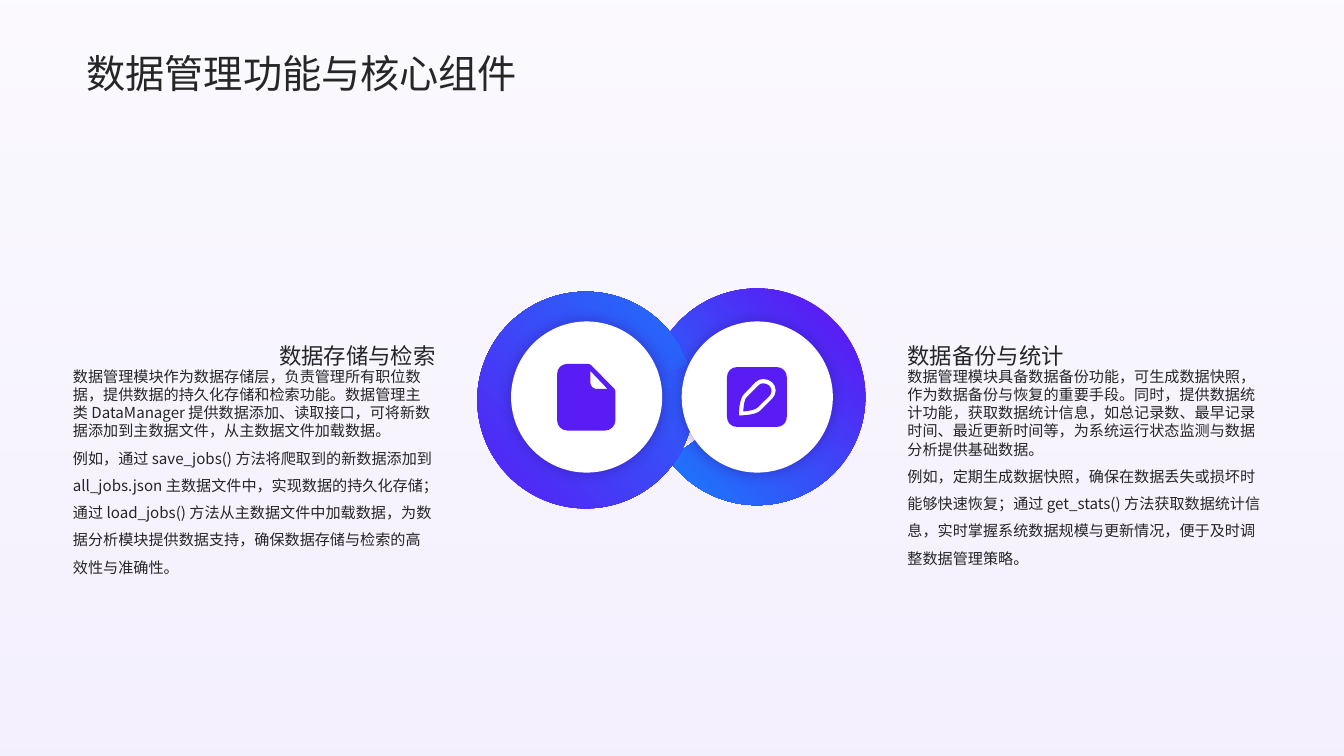
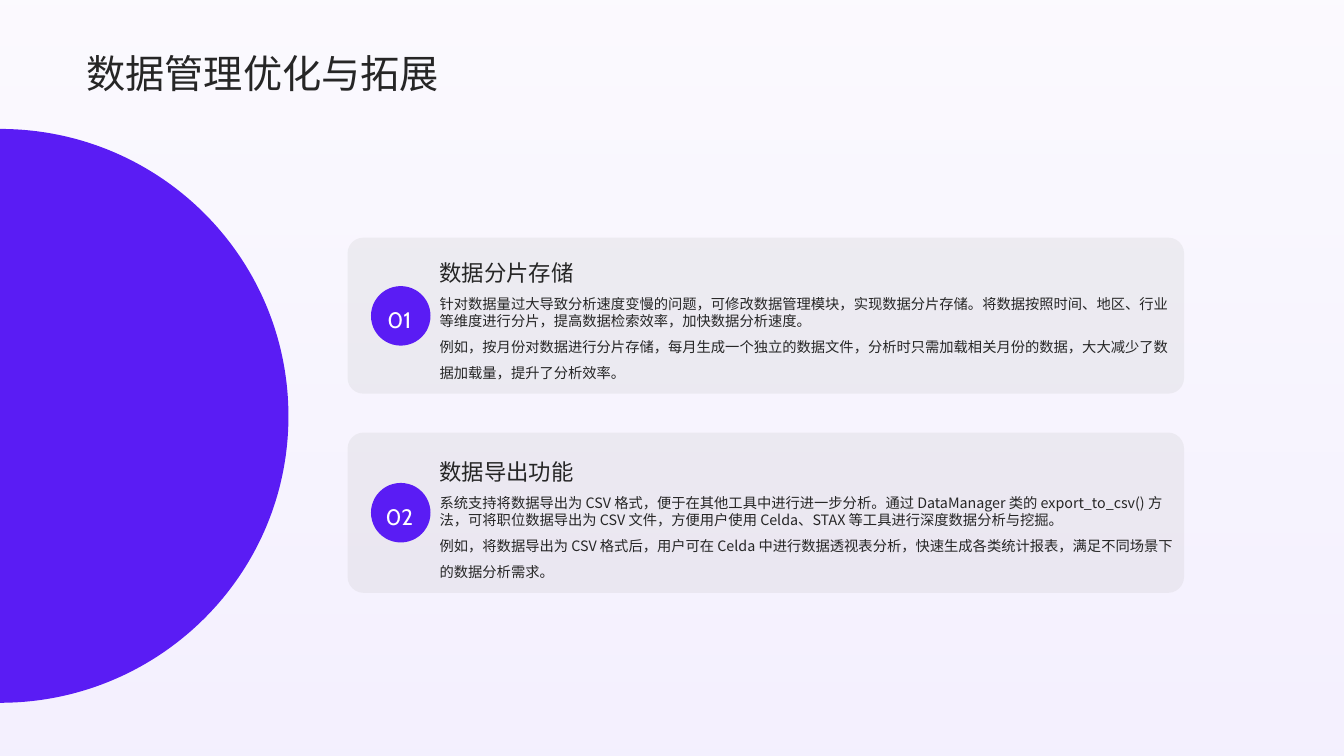
from dataclasses import dataclass

from lxml.etree import SubElement
from pptx import Presentation
from pptx.dml.color import RGBColor
from pptx.enum.shapes import MSO_SHAPE as Preset
from pptx.enum.text import MSO_ANCHOR as Anchor, PP_ALIGN as Align
from pptx.oxml.ns import qn
from pptx.util import Cm, Pt

COLORS = {
    "ink": "262626",
    "violet": "5A1CF4",
    "blue": "1482FC",
    "lilac": "DED2FD",
    "card": "BFBFBF",
    "shade": "2A0682",
    "white": "FFFFFF",
}
CJK_FONT = "Noto Sans CJK SC"
NUMBER_FONT = "Cabin"
SLIDE_W, SLIDE_H = 33.87, 19.05
ARC_SIZE = 5.46
DISC_SIZE = 3.81
BADGE_SIZE = 1.5
TIGHT_LEADING, LOOSE_LEADING = 1.2, 1.8

Box = tuple[float, float, float, float]
Contour = list[tuple[float, ...]]

PAGE_ICON: list[Contour] = [
    [(0.84, 0.18), (0.84, 0.48), (0.84, 0.56, 0.91, 0.63, 0.99, 0.63), (1.27, 0.63)],
    [(0.26, 0), (0.8, 0), (0.85, 0.03), (1.45, 0.63), (1.47, 0.69), (1.47, 1.42),
     (1.47, 1.56, 1.35, 1.68, 1.21, 1.68), (0.26, 1.68),
     (0.11, 1.68, 0, 1.56, 0, 1.42), (0, 0.26), (0, 0.11, 0.11, 0, 0.26, 0)],
]
PENCIL_ICON: list[Contour] = [
    [(0.91, 0.41), (0.97, 0.41, 1.02, 0.43, 1.07, 0.47),
     (1.14, 0.54, 1.14, 0.66, 1.07, 0.73), (0.76, 1.03),
     (0.72, 1.07, 0.56, 1.11, 0.41, 1.12), (0.42, 0.97, 0.45, 0.8, 0.49, 0.77),
     (0.79, 0.47), (0.82, 0.43, 0.86, 0.41, 0.91, 0.41)],
    [(0.91, 0.3), (0.84, 0.3, 0.77, 0.33, 0.72, 0.38), (0.43, 0.68),
     (0.3, 0.8, 0.3, 1.22, 0.3, 1.22), (0.3, 1.22, 0.72, 1.22, 0.84, 1.1),
     (1.14, 0.8), (1.26, 0.68, 1.26, 0.5, 1.14, 0.38),
     (1.08, 0.33, 1, 0.3, 0.91, 0.3)],
    [(0.26, 0), (1.25, 0), (1.4, 0, 1.51, 0.11, 1.51, 0.26), (1.51, 1.25),
     (1.51, 1.4, 1.4, 1.51, 1.25, 1.51), (0.26, 1.51),
     (0.11, 1.51, 0, 1.4, 0, 1.25), (0, 0.26), (0, 0.11, 0.11, 0, 0.26, 0)],
]
HALF_DISC: list[Contour] = [
    [(0, 0), (4.01, 0, 7.27, 3.23, 7.27, 7.24), (7.27, 11.23, 4.01, 14.46, 0, 14.46)],
]


@dataclass(frozen=True)
class TextStyle:
    size: float
    spacing: float = 1.5
    anchor: Anchor = Anchor.BOTTOM
    align: Align = Align.LEFT
    font: str = CJK_FONT
    color: str = "ink"


TITLE = TextStyle(28, 1.1, Anchor.MIDDLE)
NUMBER = TextStyle(16, 1.3, Anchor.MIDDLE, Align.CENTER, NUMBER_FONT, "white")


@dataclass(frozen=True)
class Arc:
    left: float
    top: float
    start: float
    end: float
    thickness: float
    gradient_angle: float
    rotation: float = 0


@dataclass(frozen=True)
class Component:
    heading: str
    body: str
    text_left: float
    align: Align
    disc_left: float
    icon: list[Contour]
    icon_left: float
    icon_top: float


@dataclass(frozen=True)
class Card:
    number: str
    heading: str
    body: str
    top: float
    height: float
    badge_top: float
    number_top: float
    heading_top: float
    body_top: float


ARCS = [
    Arc(16.35, 7.27, 158.69, 144.67, 0.156, 135),
    Arc(12.03, 7.35, 37.81, 26.39, 0.241, 0, rotation=315),
]
COMPONENTS = [
    Component(
        "数据存储与检索",
        "数据管理模块作为数据存储层，负责管理所有职位数据，提供数据的持久化存储和检索功能。数据管理主类 DataManager 提供数据添加、读取接口，可将新数据添加到主数据文件，从主数据文件加载数据。\n"
        "例如，通过 save_jobs() 方法将爬取到的新数据添加到 all_jobs.json 主数据文件中，实现数据的持久化存储；通过 load_jobs() 方法从主数据文件中加载数据，为数据分析模块提供数据支持，确保数据存储与检索的高效性与准确性。",
        1.84, Align.RIGHT, 12.88, PAGE_ICON, 14.04, 9.17),
    Component(
        "数据备份与统计",
        "数据管理模块具备数据备份功能，可生成数据快照，作为数据备份与恢复的重要手段。同时，提供数据统计功能，获取数据统计信息，如总记录数、最早记录时间、最近更新时间等，为系统运行状态监测与数据分析提供基础数据。\n"
        "例如，定期生成数据快照，确保在数据丢失或损坏时能够快速恢复；通过 get_stats() 方法获取数据统计信息，实时掌握系统数据规模与更新情况，便于及时调整数据管理策略。",
        22.87, Align.LEFT, 17.18, PENCIL_ICON, 18.32, 9.25),
]
CARDS = [
    Card(
        "01", "数据分片存储",
        "针对数据量过大导致分析速度变慢的问题，可修改数据管理模块，实现数据分片存储。将数据按照时间、地区、行业等维度进行分片，提高数据检索效率，加快数据分析速度。\n"
        "例如，按月份对数据进行分片存储，每月生成一个独立的数据文件，分析时只需加载相关月份的数据，大大减少了数据加载量，提升了分析效率。",
        5.99, 3.93, 7.21, 7.49, 6.29, 7.45),
    Card(
        "02", "数据导出功能",
        "系统支持将数据导出为 CSV 格式，便于在其他工具中进行进一步分析。通过 DataManager 类的 export_to_csv() 方法，可将职位数据导出为 CSV 文件，方便用户使用 Celda、STAX 等工具进行深度数据分析与挖掘。\n"
        "例如，将数据导出为 CSV 格式后，用户可在 Celda 中进行数据透视表分析，快速生成各类统计报表，满足不同场景下的数据分析需求。",
        10.9, 4.04, 12.17, 12.45, 11.3, 12.46),
]


def rgb(color: str) -> RGBColor:
    return RGBColor.from_string(COLORS[color])


def set_alpha(color_element, percent: float) -> None:
    SubElement(color_element, qn("a:alpha")).set("val", str(int(percent * 1000)))


def fill_solid(shape, color: str, alpha: float = 100) -> None:
    shape.shadow.inherit = False
    shape.line.fill.background()
    shape.fill.solid()
    shape.fill.fore_color.rgb = rgb(color)
    if alpha < 100:
        set_alpha(next(shape._element.spPr.iter(qn("a:srgbClr"))), alpha)


def fill_gradient(shape, stops: list[tuple[float, str, float]], angle: float) -> None:
    shape.shadow.inherit = False
    shape.line.fill.background()
    shape.fill.gradient()
    shape.fill.gradient_angle = (360 - angle) % 360
    for stop, (position, color, alpha) in zip(shape.fill.gradient_stops, stops):
        stop.position = position
        stop.color.rgb = rgb(color)
        if alpha < 100:
            set_alpha(stop._gs.find(qn("a:srgbClr")), alpha)


def add_glow_shadow(shape) -> None:
    effects = shape._element.spPr.find(qn("a:effectLst"))
    shadow = SubElement(effects, qn("a:outerShdw"))
    for key, value in {"blurRad": Pt(10), "dist": 0, "dir": 0}.items():
        shadow.set(key, str(int(value)))
    shadow.set("algn", "ctr")
    shadow.set("rotWithShape", "0")
    tint = SubElement(shadow, qn("a:srgbClr"))
    tint.set("val", COLORS["shade"])
    set_alpha(tint, 40)


def add_preset(slide, preset: Preset, box: Box):
    return slide.shapes.add_shape(preset, *map(Cm, box))


def bend_segments(outline, contours: list[Contour]) -> None:
    track = next(outline._element.iter(qn("a:path")))
    lines = iter(track.findall(qn("a:lnTo")))
    for contour in contours:
        for segment in contour[1:]:
            first, *others = [next(lines) for _ in range(len(segment) // 2)]
            if others:
                first.tag = qn("a:cubicBezTo")
            for line in others:
                first.append(line[0])
                track.remove(line)


def add_outline(slide, contours: list[Contour], left: float, top: float) -> None:
    tracks = [[(Cm(left + segment[i]), Cm(top + segment[i + 1]))
               for segment in contour for i in range(0, len(segment), 2)]
              for contour in contours]
    builder = slide.shapes.build_freeform(*tracks[0][0])
    for index, points in enumerate(tracks):
        if index:
            builder.move_to(*points[0])
        builder.add_line_segments(points[1:], close=False)
    outline = builder.convert_to_shape()
    bend_segments(outline, contours)
    fill_solid(outline, "violet")


def add_text(slide, box: Box, text: str, style: TextStyle):
    label = slide.shapes.add_textbox(*map(Cm, box))
    frame = label.text_frame
    frame.word_wrap = True
    frame.vertical_anchor = style.anchor
    frame.margin_left = frame.margin_right = frame.margin_top = frame.margin_bottom = 0
    frame.text = text
    for paragraph in frame.paragraphs:
        paragraph.alignment = style.align
        paragraph.line_spacing = style.spacing
        for run in paragraph.runs:
            run.font.size = Pt(style.size)
            run.font.name = style.font
            run.font.color.rgb = rgb(style.color)
            SubElement(run._r.get_or_add_rPr(), qn("a:ea")).set("typeface", style.font)
    return label


def add_body(slide, box: Box, text: str, size: float) -> None:
    body = add_text(slide, box, text, TextStyle(size, anchor=Anchor.TOP))
    for paragraph, leading in zip(body.text_frame.paragraphs, (TIGHT_LEADING, LOOSE_LEADING)):
        paragraph.line_spacing = Pt(size * leading)


def add_titled_slide(deck, title: str):
    slide = deck.slides.add_slide(deck.slide_layouts[6])
    backdrop = add_preset(slide, Preset.RECTANGLE, (0, 0, SLIDE_W, SLIDE_H))
    fill_gradient(backdrop, [(0, "lilac", 33), (1, "lilac", 11)], 270)
    add_text(slide, (2.18, 1.12, 29.64, 1.3), title, TITLE)
    return slide


def add_arc(slide, arc: Arc) -> None:
    ring = add_preset(slide, Preset.BLOCK_ARC, (arc.left, arc.top, ARC_SIZE, ARC_SIZE))
    ring.adjustments[0] = arc.start * 0.6
    ring.adjustments[1] = arc.end * 0.6
    ring.adjustments[2] = arc.thickness
    ring.rotation = arc.rotation
    fill_gradient(ring, [(0.13, "violet", 100), (1, "blue", 100)], arc.gradient_angle)


def add_component(slide, part: Component) -> None:
    disc = add_preset(slide, Preset.OVAL, (part.disc_left, 8.1, DISC_SIZE, DISC_SIZE))
    fill_solid(disc, "white")
    add_glow_shadow(disc)
    add_outline(slide, part.icon, part.icon_left, part.icon_top)
    add_text(slide, (part.text_left, 7.92, 9.14, 1.37), part.heading,
             TextStyle(16, align=part.align))
    add_body(slide, (part.text_left, 9.26, 9.14, 5.18), part.body, 10.8)


def add_card(slide, card: Card) -> None:
    panel = add_preset(slide, Preset.ROUNDED_RECTANGLE, (8.76, card.top, 21.08, card.height))
    panel.adjustments[0] = 0.1
    fill_solid(panel, "card", 20)
    badge = add_preset(slide, Preset.OVAL, (9.35, card.badge_top, BADGE_SIZE, BADGE_SIZE))
    fill_solid(badge, "violet")
    add_text(slide, (9.25, card.number_top, 1.63, 0.91), card.number, NUMBER)
    add_text(slide, (11.08, card.heading_top, 18.34, 0.91), card.heading, TextStyle(16, 1.3))
    add_body(slide, (11.08, card.body_top, 18.56, 2.08), card.body, 10.2)


def main() -> None:
    deck = Presentation()
    deck.slide_width, deck.slide_height = Cm(SLIDE_W), Cm(SLIDE_H)

    components = add_titled_slide(deck, "数据管理功能与核心组件")
    for arc in ARCS:
        add_arc(components, arc)
    for part in COMPONENTS:
        add_component(components, part)

    extensions = add_titled_slide(deck, "数据管理优化与拓展")
    add_outline(extensions, HALF_DISC, 0, 3.25)
    for card in CARDS:
        add_card(extensions, card)

    deck.save("out.pptx")


if __name__ == "__main__":
    main()
